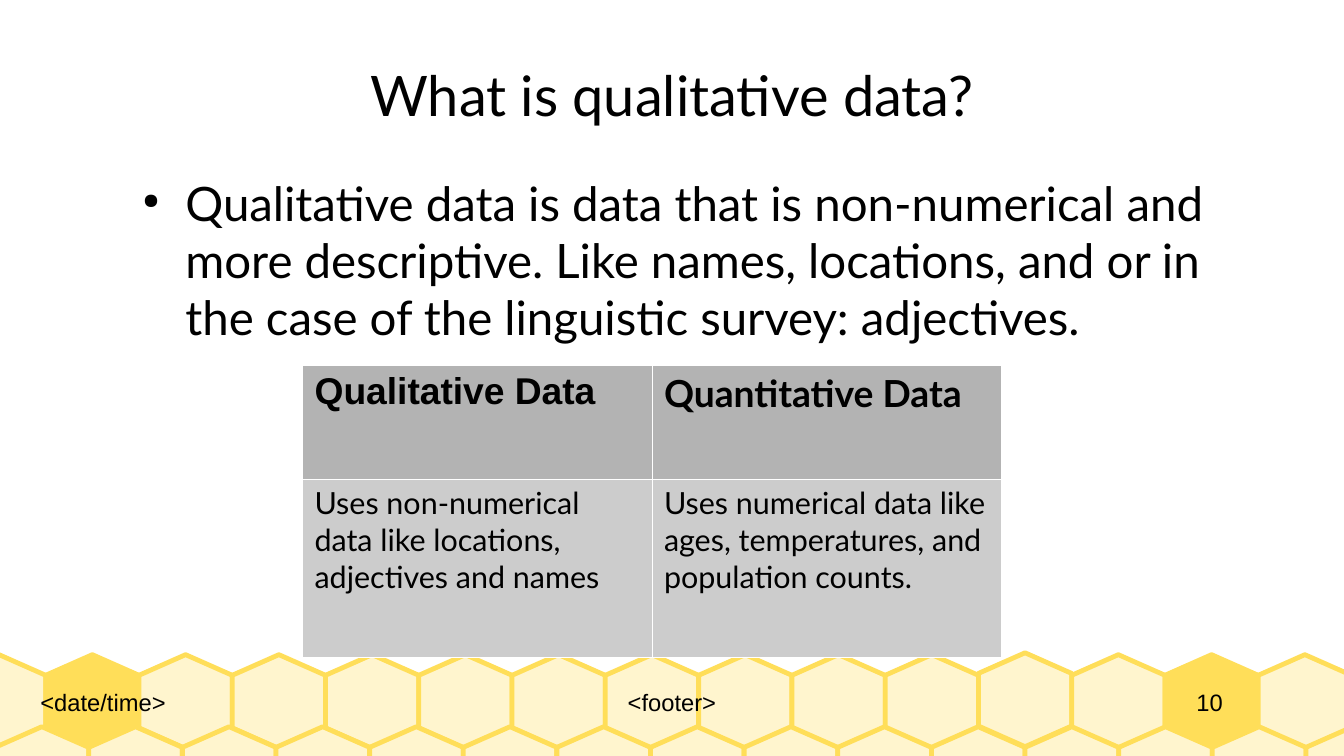
from lxml import etree
from pptx import Presentation
from pptx.dml.color import RGBColor
from pptx.enum.text import MSO_ANCHOR, PP_ALIGN
from pptx.oxml.ns import qn
from pptx.util import Inches, Pt

LEFT, CENTER = PP_ALIGN.LEFT, PP_ALIGN.CENTER
MIDDLE = MSO_ANCHOR.MIDDLE
WIDE, HIGH = Inches(11.02), Inches(6.2)
COLORS = {"ink": "000000", "honey": "FFDE59", "cream": "FFF5CE",
          "head": "B3B3B3", "cell": "CCCCCC", "rule": "FFFFFF"}
CELLS = 15          # hexagons in each row of the comb
FULL = (1, 13)      # hexagons filled with honey
RAISED = 11         # hexagon set slightly higher
ROWS = [
    ["Qualitative Data", "Quantitative Data"],
    ["Uses non-numerical data like locations, adjectives and names",
     "Uses numerical data like ages, temperatures, and population counts."],
]


def color(name):
    return RGBColor.from_string(COLORS[name])


def area(left, top, width, height):
    """Turn percentages of the slide into lengths."""
    return (round(WIDE * left / 100), round(HIGH * top / 100),
            round(WIDE * width / 100), round(HIGH * height / 100))


def style(para, size, face, bold=False):
    font = para.font
    font.size, font.name, font.bold = Pt(size), face, bold
    font.color.rgb = color("ink")


def add_text(slide, box, text, size, face, align=LEFT):
    frame = slide.shapes.add_textbox(*box).text_frame
    frame.word_wrap = True
    frame.vertical_anchor = MIDDLE
    frame.margin_left = frame.margin_right = 0
    frame.margin_top = frame.margin_bottom = 0
    para = frame.paragraphs[0]
    para.text, para.alignment = text, align
    style(para, size, face)
    return para


def add_hex(slide, box, fill):
    left, top, width, height = box
    points = [(left + round(width * x), top + round(height * y))
              for x, y in ((.5, 0), (0, .22), (0, .78), (.5, 1), (1, .78), (1, .22))]
    pen = slide.shapes.build_freeform(*points[0], scale=1.0)
    pen.add_line_segments(points[1:], close=True)
    shape = pen.convert_to_shape()
    shape.shadow.inherit = False
    shape.fill.solid()
    shape.fill.fore_color.rgb = color(fill)
    shape.line.color.rgb = color("honey")
    shape.line.width = Pt(2.83)


def add_comb(slide, box, full=(), raised=None):
    left, top, width, height = box
    step = width / CELLS
    for i in range(CELLS):
        lift = round(height * .02) if i == raised else 0
        add_hex(slide, (round(left + i * step), top - lift, round(step), height),
                "honey" if i in full else "cream")


def add_footer(slide, box):
    left, top, width, height = box
    parts = (("<date/time>", .03, .24, LEFT), ("<footer>", .27, .46, CENTER),
             ("10", .84, .12, CENTER))
    for text, start, share, align in parts:
        part = (left + round(width * start), top, round(width * share), height)
        add_text(slide, part, text, 14, "Arial", align)


def add_point(slide, box, text):
    para = add_text(slide, box, text, 28, "Lato")
    para.space_after = Pt(10.6)
    props = para._p.get_or_add_pPr()
    props.set("marL", str(Inches(.47)))
    props.set("indent", str(-Inches(.35)))
    tint = etree.SubElement(props, qn("a:buClr"))
    etree.SubElement(tint, qn("a:srgbClr"), val=COLORS["ink"])
    etree.SubElement(props, qn("a:buSzPct"), val="45000")
    etree.SubElement(props, qn("a:buChar"), char="●")


def add_rules(cell):
    props = cell._tc.get_or_add_tcPr()
    for i, side in enumerate(("lnL", "lnR", "lnT", "lnB")):
        line = etree.Element(qn("a:" + side), w=str(Pt(.06)))
        fill = etree.SubElement(line, qn("a:solidFill"))
        etree.SubElement(fill, qn("a:srgbClr"), val=COLORS["rule"])
        props.insert(i, line)


def add_grid(slide, box):
    table = slide.shapes.add_table(len(ROWS), len(ROWS[0]), *box).table
    table.first_row = table.horz_banding = False
    for row, share in zip(table.rows, (.39, .61)):
        row.height = round(box[3] * share)
    for r, texts in enumerate(ROWS):
        for c, text in enumerate(texts):
            cell = table.cell(r, c)
            cell.text = text
            cell.fill.solid()
            cell.fill.fore_color.rgb = color("cell" if r else "head")
            face = "Arial" if (r, c) == (0, 0) else "Lato"
            style(cell.text_frame.paragraphs[0], 18 if r else 22, face, r == 0)
            add_rules(cell)


def main():
    deck = Presentation()
    deck.slide_width, deck.slide_height = WIDE, HIGH
    slide = deck.slides.add_slide(deck.slide_layouts[6])

    # Honeycomb along the bottom, with the footer on it
    add_comb(slide, area(-3.54, 86.6, 104.1, 12.42), FULL, RAISED)
    add_comb(slide, area(-.36, 96.13, 104.5, 12.42))
    add_footer(slide, area(0, 86.6, 100, 12.42))

    # Title and bullet point
    add_text(slide, area(5, 4.03, 90, 16.77), "What is qualitative data?",
             33, "Lato", CENTER)
    add_point(slide, area(9.53, 16.13, 81.2, 36.29),
              "Qualitative data is data that is non-numerical and more descriptive. "
              "Like names, locations, and or in the case of the linguistic survey: "
              "adjectives.")

    # Comparison table
    add_grid(slide, area(22.5, 48.23, 52, 38.7))
    deck.save("out.pptx")


if __name__ == "__main__":
    main()
